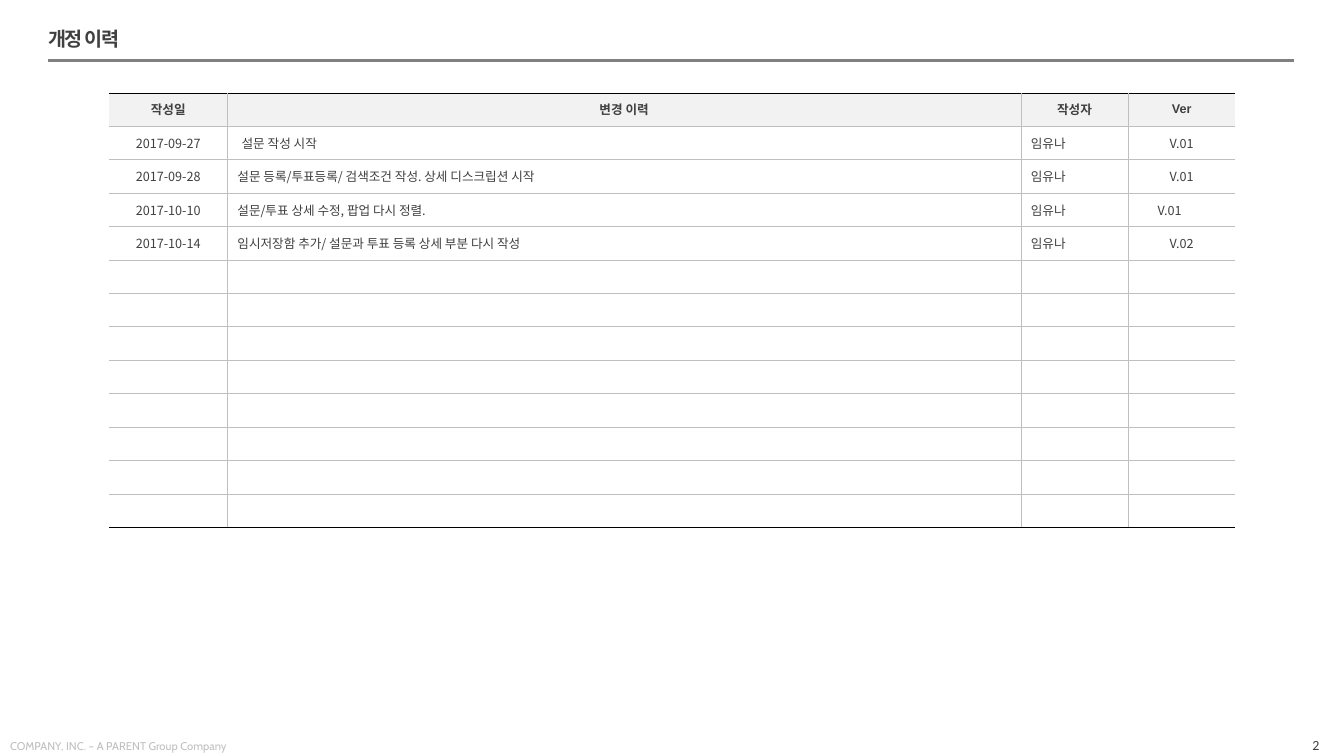
from lxml import etree
from pptx import Presentation
from pptx.dml.color import RGBColor
from pptx.enum import shapes, text
from pptx.oxml import ns
from pptx.util import Pt

COLORS = {"ink": "404040", "grid": "BFBFBF", "edge": "000000", "head": "F2F2F2", "rule": "808080"}
KOREAN = "Noto Sans CJK KR"
HEADINGS = ["작성일", "변경 이력", "작성자", "Ver"]
REVISIONS = [
    ["2017-09-27", "설문 작성 시작", "임유나", "V.01"],
    ["2017-09-28", "설문 등록/투표등록/ 검색조건 작성. 상세 디스크립션 시작", "임유나", "V.01"],
    ["2017-10-10", "설문/투표 상세 수정, 팝업 다시 정렬.", "임유나", "V.01"],
    ["2017-10-14", "임시저장함 추가/ 설문과 투표 등록 상세 부분 다시 작성", "임유나", "V.02"],
]
EMPTY_ROWS = 8
COLUMN_SHARES = [84.5, 566.8, 76.6, 76.6]
LEFT, CENTER, RIGHT = text.PP_ALIGN.LEFT, text.PP_ALIGN.CENTER, text.PP_ALIGN.RIGHT


def color(name):
    """Return the named colour."""
    return RGBColor.from_string(COLORS[name])


def write(frame, words, size=9, font=KOREAN, ink="ink", bold=False, align=LEFT, indent=0, tracking=0, leading=1.0):
    """Write one formatted paragraph into a text frame."""
    para = frame.paragraphs[0]
    para.alignment = align
    para.line_spacing = leading
    if not words:
        etree.SubElement(para._p, ns.qn("a:endParaRPr"), sz=str(size * 100))
        return
    if indent:
        para._p.get_or_add_pPr().set("marL", str(Pt(indent)))
    span = para.add_run()
    span.text = words
    span.font.size = Pt(size)
    span.font.bold = bold
    span.font.color.rgb = color(ink)
    span.font.name = font
    properties = span._r.get_or_add_rPr()
    if tracking:
        properties.set("spc", str(int(tracking * 100)))
    etree.SubElement(properties, ns.qn("a:ea"), typeface=KOREAN)


def set_insets(frame, across, down):
    """Set the horizontal and vertical insets of a text frame."""
    frame.margin_left = frame.margin_right = Pt(across)
    frame.margin_top = frame.margin_bottom = Pt(down)


def add_label(page, box, words, anchor, **style):
    """Add a small text box in the given box."""
    frame = page.shapes.add_textbox(*map(Pt, box)).text_frame
    frame.word_wrap = True
    frame.vertical_anchor = anchor
    set_insets(frame, 2.88, 3.6)
    write(frame, words, **style)


def add_heading(page, box):
    """Place the title and the rule beneath it."""
    left, top, width, height = box
    title = page.shapes.title
    title.left, title.top, title.width, title.height = map(Pt, (left, top, 675, height))
    frame = title.text_frame
    frame.auto_size = text.MSO_AUTO_SIZE.NONE
    frame.vertical_anchor = text.MSO_ANCHOR.TOP
    set_insets(frame, 0, 0)
    write(frame, "개정 이력", size=14, bold=True, tracking=-1, leading=0.9)
    ends = (left, top + 22.3, left + width, top + 22.3)
    rule = page.shapes.add_connector(shapes.MSO_CONNECTOR.STRAIGHT, *map(Pt, ends))
    rule.line.color.rgb = color("rule")
    rule.line.width = Pt(2.25)
    etree.SubElement(rule.element.spPr, ns.qn("a:effectLst"))


def set_borders(cell, borders):
    """Draw cell borders, given as a colour name or None per side."""
    properties = cell._tc.get_or_add_tcPr()
    for side in "LRTB":
        line = etree.SubElement(properties, ns.qn(f"a:ln{side}"), w=str(Pt(0.25)))
        if borders[side]:
            fill = etree.SubElement(line, ns.qn("a:solidFill"))
            etree.SubElement(fill, ns.qn("a:srgbClr"), val=COLORS[borders[side]])
        else:
            etree.SubElement(line, ns.qn("a:noFill"))


def add_history(page, box):
    """Build the revision table in the given box."""
    rows = [HEADINGS] + REVISIONS + [[""] * len(HEADINGS)] * EMPTY_ROWS
    last_row, last_column = len(rows) - 1, len(HEADINGS) - 1
    table = page.shapes.add_table(len(rows), len(HEADINGS), *map(Pt, box)).table
    table.first_row = table.horz_banding = False
    for column, share in zip(table.columns, COLUMN_SHARES):
        column.width = Pt(box[2] * share / sum(COLUMN_SHARES))
    indents = {(1, 1): 3, (3, 3): 14}
    for r, row in enumerate(rows):
        table.rows[r].height = Pt(box[3] / len(rows))
        for c, words in enumerate(row):
            cell = table.cell(r, c)
            cell.vertical_anchor = text.MSO_ANCHOR.MIDDLE
            set_borders(cell, {
                "L": "grid" if c else None,
                "R": "grid" if c < last_column else None,
                "T": "grid" if r else "edge",
                "B": "grid" if r < last_row else "edge",
            })
            if r == 0:
                cell.fill.solid()
                cell.fill.fore_color.rgb = color("head")
                write(cell.text_frame, words, font="Arial", bold=True, align=CENTER)
            else:
                cell.fill.background()
                centered = c in (0, last_column) and (r, c) != (3, 3)
                write(cell.text_frame, words, align=CENTER if centered else LEFT, indent=indents.get((r, c), 0))


def add_footer(page, box):
    """Place the company line at the left and the page number at the right."""
    left, top, width, height = box
    add_label(page, (left, top, 258, height), "COMPANY, INC. – A PARENT Group Company",
              text.MSO_ANCHOR.TOP, size=8, font="Cabin", ink="grid")
    add_label(page, (left + width - 51, top + 0.7, 51, height), "2",
              text.MSO_ANCHOR.MIDDLE, size=10, font="Calibri", align=RIGHT)


def main():
    """Build and save the revision history slide."""
    deck = Presentation()
    deck.slide_width, deck.slide_height = Pt(960), Pt(540)
    page = deck.slides.add_slide(deck.slide_layouts[5])
    add_heading(page, (34.3, 20.9, 890, 26))
    add_history(page, (77.9, 66.2, 804.5, 310.3))
    add_footer(page, (4.3, 524.2, 941, 15))
    deck.save("out.pptx")


if __name__ == "__main__":
    main()
